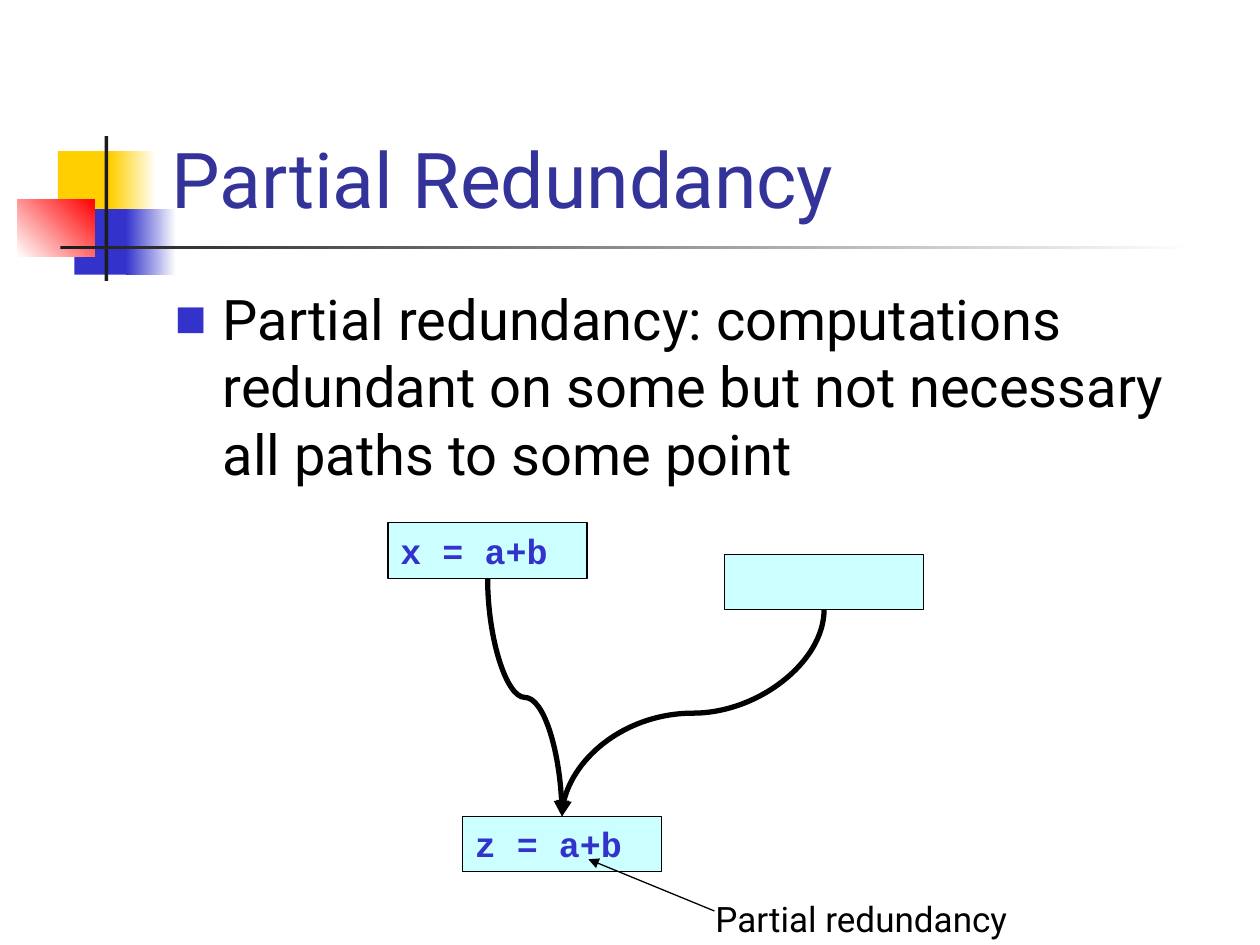
"""Build the Partial Redundancy slide."""
from lxml import etree
from pptx import Presentation
from pptx.dml.color import RGBColor
from pptx.enum.shapes import MSO_CONNECTOR, MSO_SHAPE
from pptx.enum.text import MSO_ANCHOR, PP_ALIGN
from pptx.oxml.ns import qn
from pptx.util import Inches, Pt

RECT = MSO_SHAPE.RECTANGLE
STRAIGHT, CURVE = MSO_CONNECTOR.STRAIGHT, MSO_CONNECTOR.CURVE
LEFT = PP_ALIGN.LEFT
TOP, BOTTOM = MSO_ANCHOR.TOP, MSO_ANCHOR.BOTTOM
COLORS = {
    "yellow": "FFCF01", "blue": "3333CC", "red": "FF0000", "white": "FFFFFF",
    "charcoal": "1C1C1C", "title": "333399", "black": "000000", "cyan": "CCFFFF",
}
BLOCK_W, BLOCK_H = 1.58, 0.44


def rgb(name):
    return RGBColor.from_string(COLORS[name])


def add_rect(s, x, y, w, h, *colors, angle=0):
    """Add an unlined rectangle, with a gradient when two colours are given."""
    sp = s.shapes.add_shape(RECT, Inches(x), Inches(y), Inches(w), Inches(h))
    sp.shadow.inherit = False
    sp.line.fill.background()
    if len(colors) == 1:
        sp.fill.solid()
        sp.fill.fore_color.rgb = rgb(colors[0])
    else:
        sp.fill.gradient()
        sp.fill.gradient_angle = angle
        for stop, position, color in zip(sp.fill.gradient_stops, (0, 1), colors):
            stop.position = position
            stop.color.rgb = rgb(color)
    return sp


def write(sp, text, size, color, font="Roboto", bold=False, anchor=TOP):
    """Put one left-aligned paragraph in a shape."""
    tf = sp.text_frame
    tf.word_wrap = True
    tf.vertical_anchor = anchor
    tf.text = text
    p = tf.paragraphs[0]
    p.alignment = LEFT
    r = p.runs[0]
    r.font.size, r.font.name, r.font.bold = Pt(size), font, bold
    r.font.color.rgb = rgb(color)
    return p


def add_text(s, x, y, w, h, text, size, color, anchor=TOP):
    sp = s.shapes.add_textbox(Inches(x), Inches(y), Inches(w), Inches(h))
    return write(sp, text, size, color, anchor=anchor)


def add_bullet(p):
    """Give a paragraph a hanging square bullet."""
    pPr = p._p.get_or_add_pPr()
    pPr.set("marL", str(Inches(0.38)))
    pPr.set("indent", str(-Inches(0.38)))
    color = etree.SubElement(pPr, qn("a:buClr"))
    etree.SubElement(color, qn("a:srgbClr"), val=COLORS["blue"])
    etree.SubElement(pPr, qn("a:buSzPct"), val="60000")
    etree.SubElement(pPr, qn("a:buFont"), typeface="Roboto")
    etree.SubElement(pPr, qn("a:buChar"), char="■")


def add_block(s, x, y, code=""):
    """Add a basic block of the flow graph."""
    sp = add_rect(s, x, y, BLOCK_W, BLOCK_H, "cyan")
    sp.line.color.rgb = rgb("black")
    sp.line.width = Pt(0.75)
    if code:
        write(sp, code, 20, "blue", "Courier New", True)


def add_arrow(s, kind, x1, y1, x2, y2, width):
    """Add a black connector with a triangle at its end."""
    c = s.shapes.add_connector(kind, Inches(x1), Inches(y1), Inches(x2), Inches(y2))
    c.line.color.rgb = rgb("black")
    c.line.width = Pt(width)
    etree.SubElement(c.line._get_or_add_ln(), qn("a:tailEnd"), type="triangle")
    etree.SubElement(c._element.spPr, qn("a:effectLst"))
    return c


def add_flow(s, source, target):
    """Curve from the bottom of one block down to the top of another."""
    x1, y1 = source[0] + BLOCK_W / 2, source[1] + BLOCK_H
    x2, y2 = target[0] + BLOCK_W / 2, target[1]
    cx, cy = (x1 + x2) / 2, (y1 + y2) / 2
    side = -1 if x2 > x1 else 1
    dx, dy = side * (y2 - y1) / 2, abs(x2 - x1) / 2
    c = add_arrow(s, CURVE, cx - dx, cy - dy, cx + dx, cy + dy, 3)
    c._element.spPr.find(qn("a:xfrm")).set("rot", str(side * 90 % 360 * 60000))


def add_ornament(s):
    """Draw the coloured squares and the rules beside the title."""
    add_rect(s, 0.46, 1.2, 0.48, 0.52, "yellow")
    add_rect(s, 0.88, 1.2, 0.36, 0.52, "yellow", "white")
    add_rect(s, 0.59, 1.66, 0.46, 0.52, "blue")
    add_rect(s, 1, 1.66, 0.4, 0.52, "blue", "white")
    add_rect(s, 0.14, 1.58, 0.61, 0.46, "white", "red", angle=45)
    add_rect(s, 0.83, 1.08, 0.03, 1.15, "charcoal")
    add_rect(s, 0.48, 1.95, 9, 0.03, "charcoal", "white")


def main():
    prs = Presentation()
    prs.slide_width, prs.slide_height = Inches(10), Inches(7.5)
    s = prs.slides.add_slide(prs.slide_layouts[6])
    add_ornament(s)
    add_text(s, 1.26, 0.23, 8.52, 1.6, "Partial Redundancy", 44, "title", BOTTOM)
    add_bullet(add_text(
        s, 1.29, 2.21, 8.5, 4.5,
        "Partial redundancy: computations redundant on some but not necessary "
        "all paths to some point", 32, "black"))
    join, computed, empty = (3.67, 6.48), (3.08, 4.15), (5.75, 4.4)
    add_block(s, *join, "z = a+b")
    add_block(s, *computed, "x = a+b")
    add_block(s, *empty)
    for source in (computed, empty):
        add_flow(s, source, join)
    add_text(s, 5.58, 7.07, 3.25, 0.43, "Partial redundancy", 20, "black")
    add_arrow(s, STRAIGHT, 5.67, 7.23, 4.67, 6.82, 0.75)
    prs.save("out.pptx")


if __name__ == "__main__":
    main()
